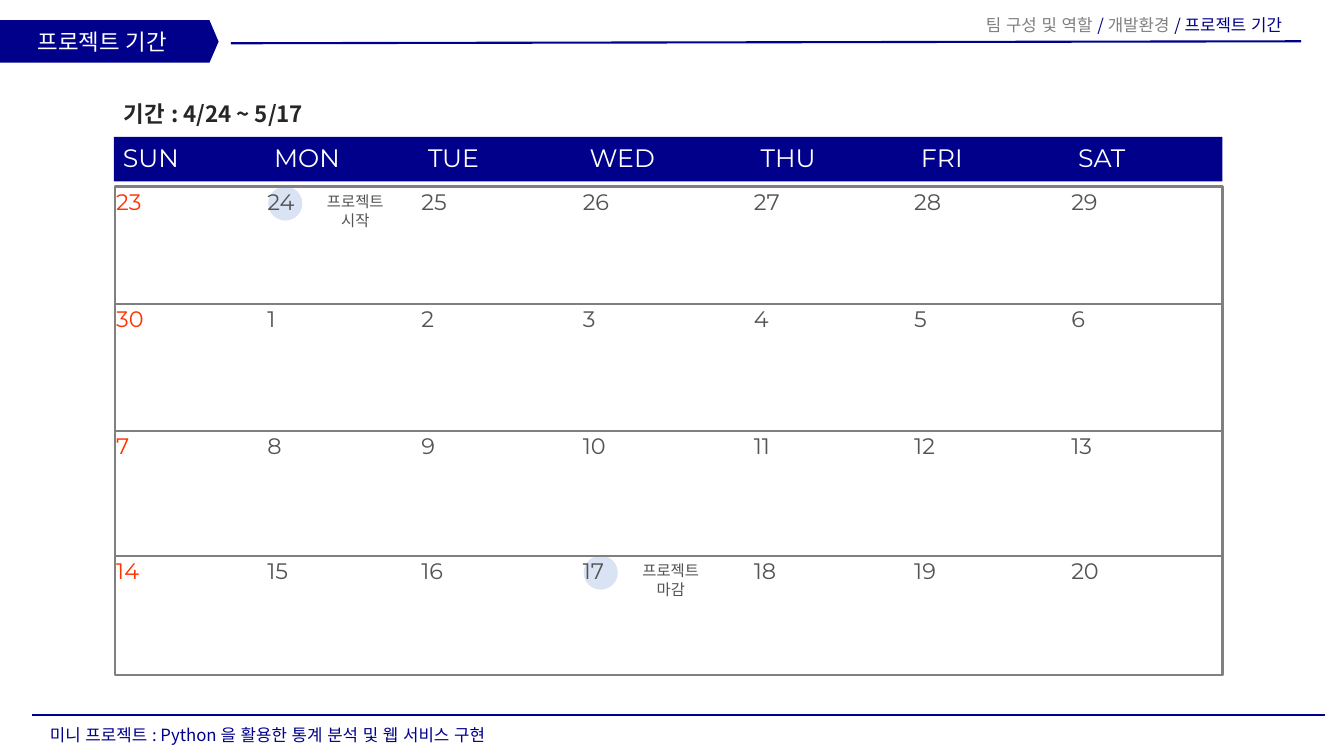
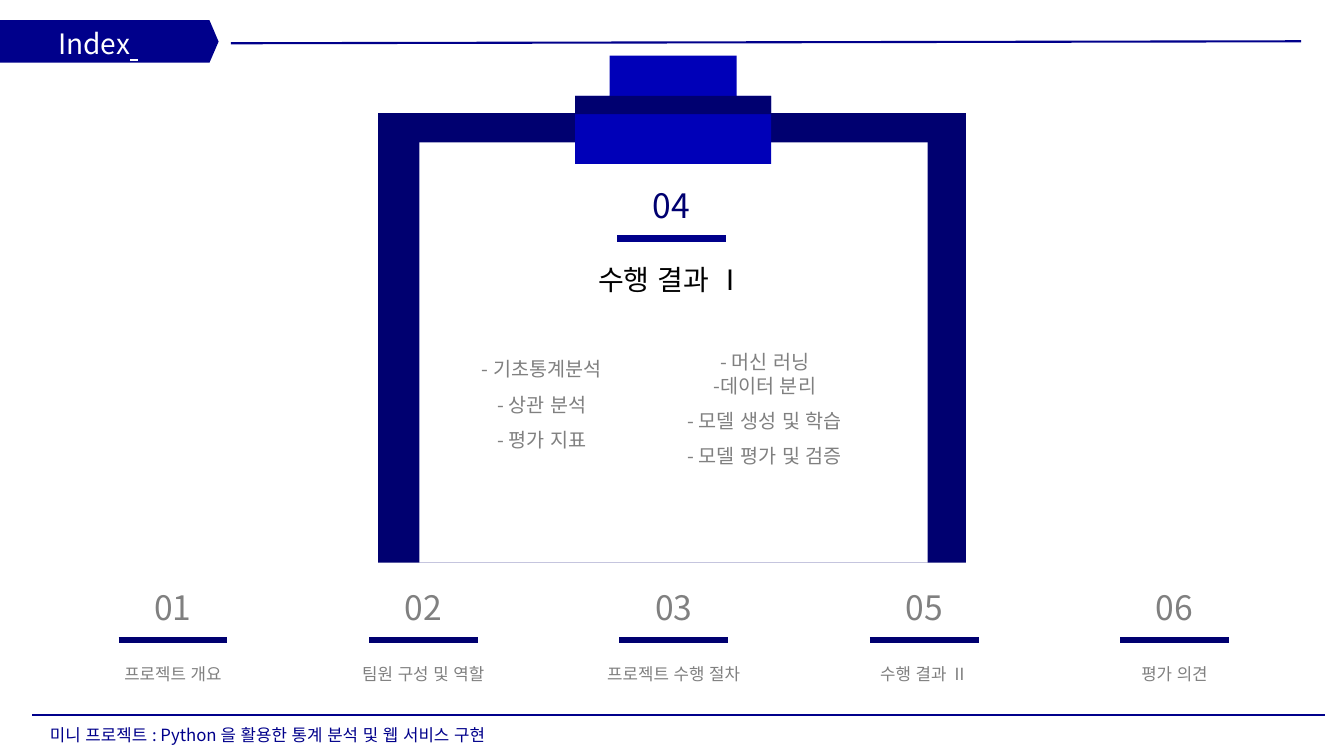
from lxml import etree
from pptx import Presentation
from pptx.dml.color import RGBColor
from pptx.enum.lang import MSO_LANGUAGE_ID
from pptx.enum.shapes import MSO_CONNECTOR, MSO_SHAPE
from pptx.enum.text import MSO_ANCHOR, MSO_AUTO_SIZE, PP_ALIGN
from pptx.oxml.ns import qn
from pptx.util import Cm, Pt

LEFT, CENTER, RIGHT = PP_ALIGN.LEFT, PP_ALIGN.CENTER, PP_ALIGN.RIGHT
MIDDLE = MSO_ANCHOR.MIDDLE
RECTANGLE, OVAL = MSO_SHAPE.RECTANGLE, MSO_SHAPE.OVAL
STRAIGHT = MSO_CONNECTOR.STRAIGHT
NO_AUTOFIT = MSO_AUTO_SIZE.NONE
KOREAN = MSO_LANGUAGE_ID.KOREAN

KOREAN_FONT = "Noto Sans CJK KR"
LATIN_FONT = "Montserrat"
TITLE_ONLY = 5
COLORS = {
    "navy": "00008B",
    "dark": "000070",
    "bright": "0000B8",
    "gray": "808080",
    "rule": "7F7F7F",
    "ink": "262626",
    "date": "535353",
    "sunday": "FF3300",
    "mark": "DAE3F3",
    "white": "FFFFFF",
    "black": "000000",
}

FOOTER = "미니 프로젝트 : Python 을 활용한 통계 분석 및 웹 서비스 구현"
BREADCRUMB = [
    ("팀 구성 및 역할 ", "gray"), ("/ ", "navy"), ("개발환경 ", "gray"),
    ("/ ", "dark"), ("프로젝트 기간", "navy"),
]
WEEKDAYS = ["SUN", "MON", "TUE", "WED", "THU", "FRI", "SAT"]
WEEKS = [
    [23, 24, 25, 26, 27, 28, 29],
    [30, 1, 2, 3, 4, 5, 6],
    [7, 8, 9, 10, 11, 12, 13],
    [14, 15, 16, 17, 18, 19, 20],
]
DAY_WIDTHS = [3.81, 3.88, 4.07, 4.31, 4.04, 3.96, 3.84]
WEEK_HEIGHTS = [2.95, 3.2, 3.15, 3.02]
# (week, weekday, label lines)
EVENTS = [(0, 1, ["프로젝트", "시작"]), (3, 3, ["프로젝트", "마감"])]
INDEX_ENTRIES = [
    ("01", "프로젝트 개요"), ("02", "팀원 구성 및 역할"),
    ("03", "프로젝트 수행 절차"), ("05", "수행 결과 Ⅱ"), ("06", "평가 의견"),
]
# (text, line spacing)
ANALYSIS_TOPICS = [("- 기초통계분석", 1.5), ("- 상관 분석", 1.5), ("- 평가 지표", 1.5)]
LEARNING_TOPICS = [
    ("- 머신 러닝", 1.5), ("-데이터 분리", 1.0),
    ("- 모델 생성 및 학습", 1.5), ("- 모델 평가 및 검증", 1.5),
]


# Basic parts
def color(name):
    return RGBColor.from_string(COLORS[name])


def add_run(paragraph, text, size, color_name, font=KOREAN_FONT, bold=False):
    run = paragraph.add_run()
    run.text = text
    run.font.name = font
    run.font.size = Pt(size)
    run.font.bold = bold
    run.font.language_id = KOREAN
    run.font.color.rgb = color(color_name)
    east_asian = etree.SubElement(run.font._element, qn("a:ea"))
    east_asian.set("typeface", font)
    return run


def add_text(slide, box, lines, alignment=LEFT):
    """Each line is (list of run arguments, line spacing)."""
    shape = slide.shapes.add_textbox(*map(Cm, box))
    frame = shape.text_frame
    frame.word_wrap = True
    for number, (runs, spacing) in enumerate(lines):
        paragraph = frame.add_paragraph() if number else frame.paragraphs[0]
        paragraph.alignment = alignment
        paragraph.line_spacing = spacing
        for run in runs:
            add_run(paragraph, *run)


def paint(shape, color_name):
    shape.shadow.inherit = False
    shape.fill.solid()
    shape.fill.fore_color.rgb = color(color_name)
    shape.line.fill.background()


def add_block(slide, kind, box, color_name):
    paint(slide.shapes.add_shape(kind, *map(Cm, box)), color_name)


def add_outline(slide, box, color_name, width):
    shape = slide.shapes.add_shape(RECTANGLE, *map(Cm, box))
    shape.shadow.inherit = False
    shape.fill.background()
    shape.line.color.rgb = color(color_name)
    shape.line.width = Pt(width)


def add_polygon(slide, points, color_name):
    start, *others = [(Cm(x), Cm(y)) for x, y in points]
    builder = slide.shapes.build_freeform(*start)
    builder.add_line_segments(others, close=True)
    paint(builder.convert_to_shape(), color_name)


def add_line(slide, start, end, color_name, width):
    line = slide.shapes.add_connector(STRAIGHT, *map(Cm, (*start, *end)))
    line.line.color.rgb = color(color_name)
    line.line.width = Pt(width)
    etree.SubElement(line._element.spPr, qn("a:effectLst"))


# Frame shared by all slides
def add_frame(presentation, title_left, title_runs):
    slide = presentation.slides.add_slide(presentation.slide_layouts[TITLE_ONLY])
    add_polygon(slide, [(0, 0.51), (5.28, 0.51), (5.51, 1.05), (5.28, 1.58),
                        (0, 1.58)], "navy")
    add_line(slide, (5.82, 1.09), (32.79, 1.04), "navy", 1.5)

    title = slide.shapes.title
    title.left, title.top, title.width, title.height = map(
        Cm, (title_left, 0.4, 4.7, 1.28))
    frame = title.text_frame
    frame.auto_size = NO_AUTOFIT
    frame.vertical_anchor = MIDDLE
    paragraph = frame.paragraphs[0]
    paragraph.alignment = CENTER
    for text, size, underline in title_runs:
        add_run(paragraph, text, size, "white").font.underline = underline
    # Bring the title in front of the banner
    title.element.getparent().append(title.element)

    add_line(slide, (0.81, 18.01), (33.4, 18.01), "navy", 1.5)
    add_text(slide, (0.66, 18.14, 12.17, 0.76), [([(FOOTER, 12, "navy")], 1.0)], CENTER)
    return slide


# Calendar
def add_calendar(slide, left, top):
    width, height = sum(DAY_WIDTHS), sum(WEEK_HEIGHTS)
    body_top = top + 1.25
    columns = [left + sum(DAY_WIDTHS[:day]) for day in range(len(WEEKDAYS))]
    rows = [body_top + sum(WEEK_HEIGHTS[:week]) for week in range(len(WEEKS))]

    # Weekday band
    add_block(slide, RECTANGLE, (left - 0.03, top, width + 0.03, 1.12), "navy")
    for x, weekday in zip(columns, WEEKDAYS):
        add_text(slide, (x - 0.05, top, 2.5, 1.09),
                 [([(weekday, 18, "white", LATIN_FONT)], 1.0)])

    # Event marks lie behind the dates
    for week, weekday, lines in EVENTS:
        x, y = columns[weekday], rows[week]
        add_block(slide, OVAL, (x + 0.05, y, 0.86, 0.86), "mark")
        add_text(slide, (x + 0.9, y + 0.02, 2.69, 1.2),
                 [([(line, 11, "date")], 1.0) for line in lines], CENTER)

    # Grid
    add_outline(slide, (left, body_top, width, height), "gray", 1.5)
    for y in rows[1:]:
        add_line(slide, (left, y), (left + width, y), "rule", 1.5)

    # Dates
    for y, week in zip(rows, WEEKS):
        for x, day in zip(columns, week):
            color_name = "sunday" if x == left else "date"
            add_text(slide, (x - 0.22, y - 0.09, 1.78, 1.02),
                     [([(str(day), 16, color_name, LATIN_FONT)], 1.0)])


def build_calendar_slide(presentation):
    slide = add_frame(presentation, 0.23, [("프로젝트 기간", 16, False)])
    add_text(slide, (24.03, 0, 8.53, 1.02),
             [([(text, 12, name) for text, name in BREADCRUMB], 1.5)], RIGHT)
    add_text(slide, (2.87, 2.41, 6.2, 0.94),
             [([("기간 : 4/24 ~ 5/17", 16, "ink", KOREAN_FONT, True)], 1.0)])
    add_calendar(slide, 2.9, 3.45)


# Index
def add_entry(slide, center, top, number, label, label_size, colors):
    number_color, line_color, label_color = colors
    add_line(slide, (center - 1.37, top + 1.47), (center + 1.37, top + 1.47),
             line_color, 4.5)
    add_text(slide, (center - 1.5, top, 3, 1.27),
             [([(number, 24, number_color)], 1.0)], CENTER)
    add_text(slide, (center - 2.6, top + 1.95, 5.2, 0.76),
             [([(label, label_size, label_color)], 1.0)], CENTER)


def add_topics(slide, center, top, topics):
    add_text(slide, (center - 2.6, top, 5.2, 3),
             [([(text, 14, "gray")], spacing) for text, spacing in topics], CENTER)


def add_clipboard(slide, left, top, width, height):
    center = left + width / 2
    # Board and paper
    add_block(slide, RECTANGLE, (left, top, width, height), "dark")
    add_block(slide, RECTANGLE, (left + 1.04, top + 0.74, width - 2, height - 0.74),
              "white")
    # Clip
    middle, wide, narrow = center + 0.03, 2.47, 1.6
    upper, shoulder, lower = top - 1.45, top - 0.43, top + 1.28
    add_polygon(slide, [
        (middle - narrow, upper), (middle - narrow, shoulder),
        (middle - wide, shoulder), (middle - wide, lower),
        (middle + wide, lower), (middle + wide, shoulder),
        (middle + narrow, shoulder), (middle + narrow, upper),
    ], "bright")
    add_block(slide, RECTANGLE, (middle - wide, shoulder, 2 * wide, 0.46), "dark")
    # Current section
    add_entry(slide, center - 0.01, top + 1.69, "04", "수행 결과 Ⅰ", 20,
              ("dark", "navy", "black"))
    add_topics(slide, center - 3.28, top + 5.73, ANALYSIS_TOPICS)
    add_topics(slide, center + 2.34, top + 5.55, LEARNING_TOPICS)


def build_index_slide(presentation):
    slide = add_frame(presentation, 0.12, [("Index", 20, False), (" ", 24, True)])
    add_clipboard(slide, 9.53, 2.85, 14.81, 11.33)
    for position, (number, label) in enumerate(INDEX_ENTRIES):
        add_entry(slide, 4.36 + 6.31 * position, 14.66, number, label, 12,
                  ("gray", "dark", "gray"))


def main():
    presentation = Presentation()
    presentation.slide_width = Cm(33.87)
    presentation.slide_height = Cm(19.05)
    build_calendar_slide(presentation)
    build_index_slide(presentation)
    presentation.save("out.pptx")


if __name__ == "__main__":
    main()
